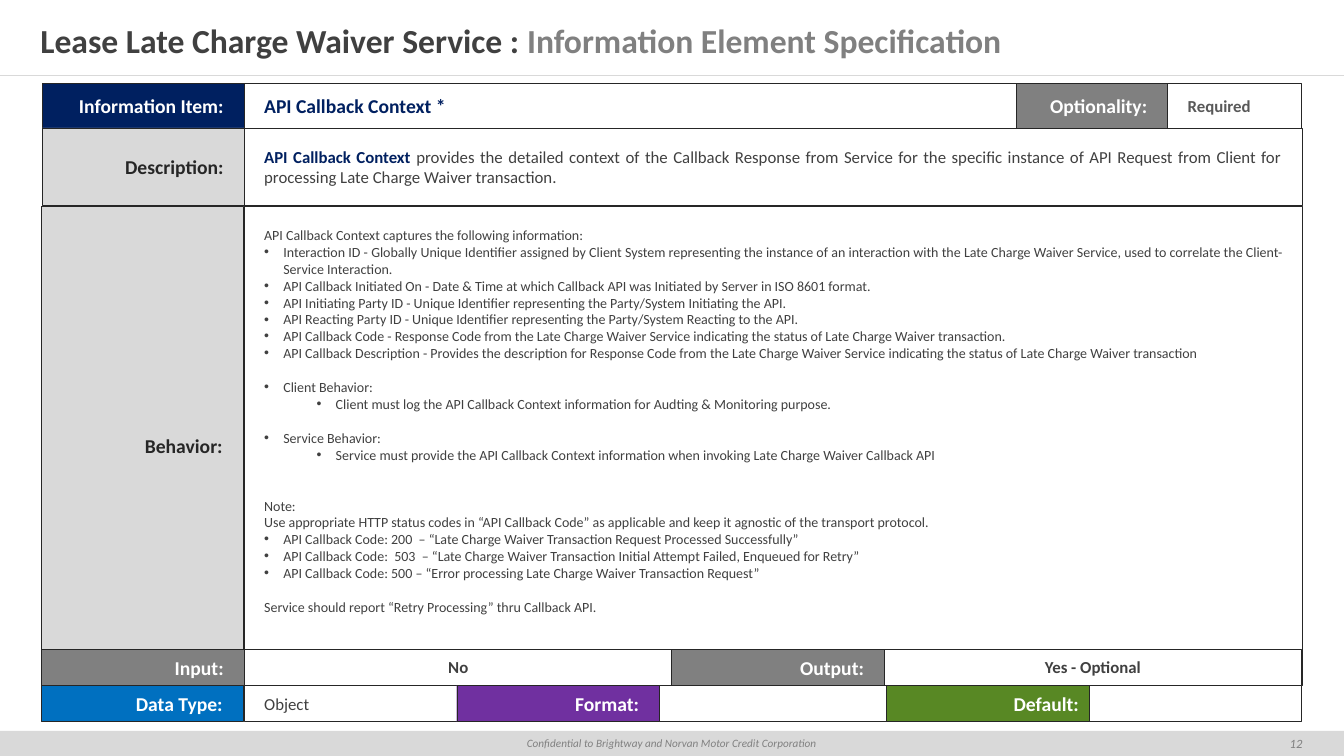
from lxml import etree
from pptx import Presentation
from pptx.dml.color import RGBColor
from pptx.enum import shapes, text
from pptx.oxml import ns
from pptx.util import Inches, Pt

COLORS = {
    "white": "FFFFFF", "pale": "D9D9D9", "gray": "808080", "slate": "595959",
    "body": "404040", "ink": "262626", "navy": "002060", "blue": "0070C0",
    "purple": "7030A0", "green": "588824",
}
LEFT, CENTER, RIGHT, JUSTIFY = (
    text.PP_ALIGN.LEFT, text.PP_ALIGN.CENTER, text.PP_ALIGN.RIGHT, text.PP_ALIGN.JUSTIFY)
LINE_GAP = 12.2
HEADER, DESCRIPTION, BEHAVIOR = (0.83, 0.44), (1.27, 0.77), (2.05, 4.75)
FLOW, DATA = (6.44, 0.36), (6.8, 0.36)

LABELS = [
    ("Information Item:", 0.42, 2, HEADER, "navy", "white"),
    ("Optionality:", 10.08, 1.5, HEADER, "gray", "white"),
    ("Description:", 0.42, 2, DESCRIPTION, "pale", "ink"),
    ("Behavior:", 0.41, 2, BEHAVIOR, "pale", "ink"),
    ("Data Type:", 0.41, 2, DATA, "blue", "white"),
    ("Format:", 4.53, 2.01, DATA, "purple", "white"),
    ("Input:", 0.41, 2.01, FLOW, "gray", "white"),
    ("Output:", 6.66, 2.11, FLOW, "gray", "white"),
]
VALUES = [
    ("API Callback Context *", 2.42, 7.67, HEADER, LEFT, 14, "navy", True),
    ("Required", 11.58, 1.33, HEADER, LEFT, 12, "slate", True),
    ("Object", 2.42, 2.11, DATA, LEFT, 12, "body", False),
    ("", 6.54, 2.25, DATA, LEFT, 12, "body", False),
    ("", 10.8, 2.11, DATA, LEFT, 12, "body", False),
    ("No", 2.42, 4.25, FLOW, CENTER, 12, "body", True),
    ("Yes - Optional", 8.77, 4.14, FLOW, CENTER, 12, "body", True),
]
PLAIN, BULLET, SUB = None, 0.19, 0.71
BEHAVIOR_LINES = [
    (PLAIN, 0, "API Callback Context captures the following information:"),
    (BULLET, 0, "Interaction ID - Globally Unique Identifier assigned by Client System representing the instance of an interaction with the Late Charge Waiver Service, used to correlate the Client-Service Interaction."),
    (BULLET, 0, "API Callback Initiated On - Date & Time at which Callback API was Initiated by Server in ISO 8601 format."),
    (BULLET, 0, "API Initiating Party ID - Unique Identifier representing the Party/System Initiating the API."),
    (BULLET, 0, "API Reacting Party ID - Unique Identifier representing the Party/System Reacting to the API."),
    (BULLET, 0, "API Callback Code - Response Code from the Late Charge Waiver Service indicating the status of Late Charge Waiver transaction."),
    (BULLET, 0, "API Callback Description - Provides the description for Response Code from the Late Charge Waiver Service indicating the status of Late Charge Waiver transaction"),
    (BULLET, 1, "Client Behavior:"),
    (SUB, 0, "Client must log the API Callback Context information for Audting & Monitoring purpose."),
    (BULLET, 1, "Service Behavior:"),
    (SUB, 0, "Service must provide the API Callback Context information when invoking Late Charge Waiver Callback API"),
    (PLAIN, 2, "Note:"),
    (PLAIN, 0, "Use appropriate HTTP status codes in “API Callback Code” as applicable and keep it agnostic of the transport protocol."),
    (BULLET, 0, "API Callback Code: 200  – “Late Charge Waiver Transaction Request Processed Successfully”"),
    (BULLET, 0, "API Callback Code:  503  – “Late Charge Waiver Transaction Initial Attempt Failed, Enqueued for Retry”"),
    (BULLET, 0, "API Callback Code: 500 – “Error processing Late Charge Waiver Transaction Request”"),
    (PLAIN, 1, "Service should report “Retry Processing” thru Callback API."),
]


def color(name):
    return RGBColor.from_string(COLORS[name])


def place(shape, left, top, width, height):
    shape.left, shape.top = Inches(left), Inches(top)
    shape.width, shape.height = Inches(width), Inches(height)


def paint(shape, fill, outlined=True):
    shape.fill.solid()
    shape.fill.fore_color.rgb = color(fill)
    if outlined:
        shape.line.color.rgb = color("ink")
        shape.line.width = Pt(0.25)
    else:
        shape.line.fill.background()


def set_frame(shape, side=0.2, edge=0.05, anchor=text.MSO_ANCHOR.MIDDLE):
    frame = shape.text_frame
    frame.word_wrap = True
    frame.auto_size = text.MSO_AUTO_SIZE.NONE
    frame.vertical_anchor = anchor
    frame.margin_left = frame.margin_right = Inches(side)
    frame.margin_top = frame.margin_bottom = Inches(edge)
    return frame


def add_run(paragraph, words, size, ink, bold=False, italic=False):
    run = paragraph.add_run()
    run.text = words
    font = run.font
    font.name, font.size = "Calibri", Pt(size)
    font.bold, font.italic = bold, italic
    font.color.rgb = color(ink)


def add_box(slide, left, row, width, fill, alignment, side=0.2, outlined=True):
    shape = slide.shapes.add_shape(
        shapes.MSO_SHAPE.RECTANGLE, Inches(left), Inches(row[0]), Inches(width), Inches(row[1]))
    shape.shadow.inherit = False
    paint(shape, fill, outlined)
    paragraph = set_frame(shape, side).paragraphs[0]
    paragraph.alignment = alignment
    return paragraph


def add_label(slide, words, left, width, row, fill, ink, side=0.2):
    add_run(add_box(slide, left, row, width, fill, RIGHT, side), words, 14, ink, bold=True)


def add_value(slide, words, left, width, row, alignment, size, ink, bold):
    paragraph = add_box(slide, left, row, width, "white", alignment)
    if words:
        add_run(paragraph, words, size, ink, bold)


def set_bullet(paragraph, indent):
    properties = paragraph._p.get_or_add_pPr()
    properties.set("marL", str(Inches(indent or 0)))
    properties.set("indent", str(Inches(-BULLET if indent else 0)))
    if indent:
        font = etree.SubElement(properties, ns.qn("a:buFont"))
        font.set("typeface", "Arial")
        etree.SubElement(properties, ns.qn("a:buChar")).set("char", "•")
    else:
        etree.SubElement(properties, ns.qn("a:buNone"))


def fill_title(title):
    place(title, 0, 0.16, 13.33, 0.48)
    paragraph = set_frame(title, 0.4, 0.2).paragraphs[0]
    paragraph.alignment = LEFT
    add_run(paragraph, "Lease Late Charge Waiver Service : ", 24, "body", bold=True)
    add_run(paragraph, "Information Element Specification", 24, "gray", bold=True)


def fill_behavior(body):
    place(body, 2.42, BEHAVIOR[0], 10.5, BEHAVIOR[1])
    paint(body, "white")
    frame = set_frame(body, 0.2, 0.2, text.MSO_ANCHOR.TOP)
    for number, (indent, gaps, words) in enumerate(BEHAVIOR_LINES):
        paragraph = frame.add_paragraph() if number else frame.paragraphs[0]
        paragraph.level = 1 if indent == SUB else 0
        paragraph.alignment = JUSTIFY
        paragraph.space_before = Pt(gaps * LINE_GAP)
        set_bullet(paragraph, indent)
        add_run(paragraph, words, 10, "body")


def add_title_rule(slide):
    rule = slide.shapes.add_connector(
        shapes.MSO_CONNECTOR.STRAIGHT, Inches(0), Inches(0.75), Inches(13.33), Inches(0.75))
    rule.line.color.rgb = color("pale")
    rule.line.width = Pt(0.25)
    etree.SubElement(rule._element.spPr, ns.qn("a:effectLst"))


def add_footer(slide):
    notice = add_box(slide, 0, (7.25, 0.25), 13.33, "pale", CENTER, outlined=False)
    add_run(notice, "Confidential to Brightway and Norvan Motor Credit Corporation", 8, "gray", italic=True)
    number = slide.shapes.add_textbox(Inches(12.5), Inches(7.25), Inches(0.71), Inches(0.25))
    paragraph = set_frame(number, 0.1, 0.1).paragraphs[0]
    paragraph.alignment = CENTER
    add_run(paragraph, "12", 9, "gray", italic=True)


def main():
    presentation = Presentation()
    presentation.slide_width, presentation.slide_height = Inches(13.33), Inches(7.5)
    slide = presentation.slides.add_slide(presentation.slide_layouts[1])
    fill_title(slide.shapes.title)
    fill_behavior(slide.placeholders[1])
    add_title_rule(slide)
    add_footer(slide)
    description = add_box(slide, 2.42, DESCRIPTION, 10.5, "white", JUSTIFY)
    add_run(description, "API Callback Context ", 12, "navy", bold=True)
    add_run(description, "provides the detailed context of the Callback Response from Service for the specific instance of API Request from Client for processing Late Charge Waiver transaction.", 12, "body")
    for value in VALUES:
        add_value(slide, *value)
    for label in LABELS:
        add_label(slide, *label)
    add_label(slide, "Default:", 8.79, 2.01, DATA, "green", "white", side=0.1)
    presentation.save("out.pptx")


if __name__ == "__main__":
    main()
